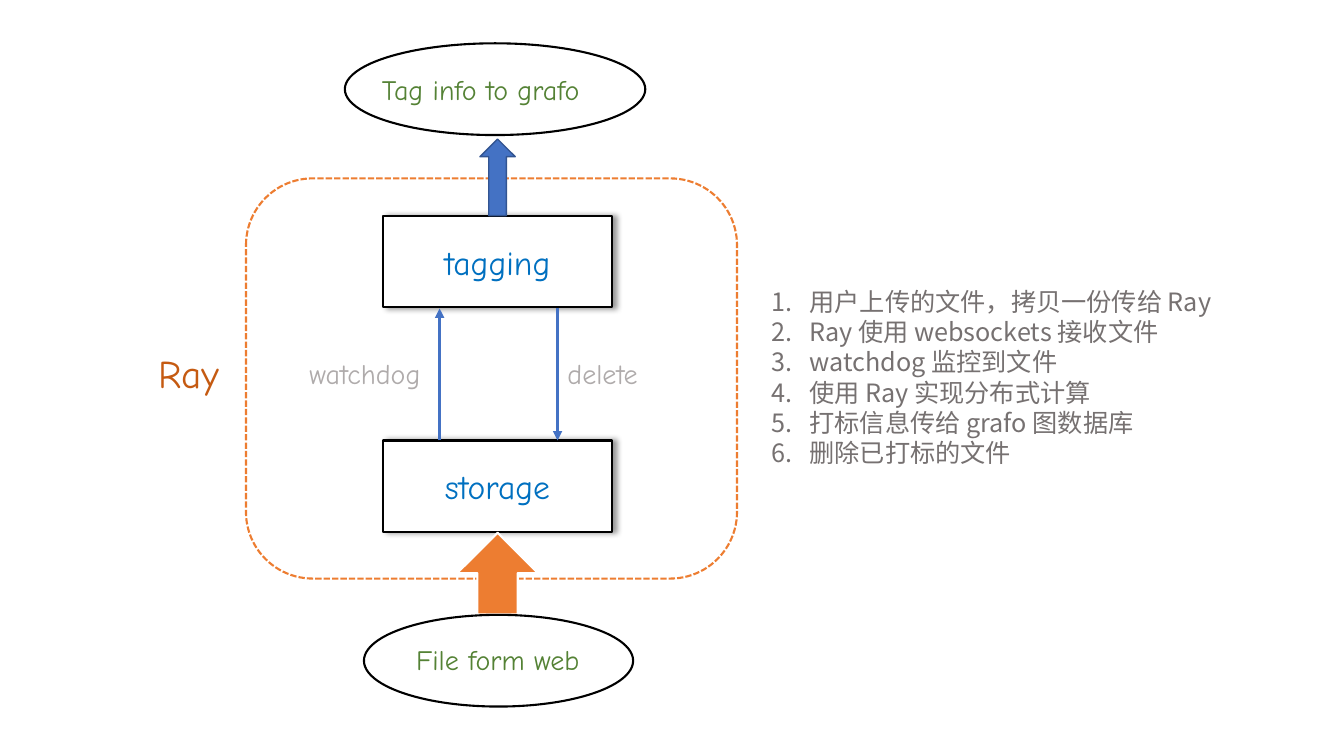
import dataclasses

import pptx
import pptx.dml.color
import pptx.enum.dml
import pptx.enum.shapes
import pptx.enum.text
import pptx.oxml
import pptx.oxml.ns
import pptx.util

SHAPE = pptx.enum.shapes.MSO_SHAPE
ALIGN = pptx.enum.text.PP_ALIGN
ANCHOR = pptx.enum.text.MSO_ANCHOR
DASH = pptx.enum.dml.MSO_LINE
CELL = pptx.util.Inches(0.1)  # side of one grid square


@dataclasses.dataclass(frozen=True)
class Theme:
    latin: str = "Comic Neue"
    cjk: str = "Noto Sans CJK SC"
    ink: str = "000000"
    paper: str = "FFFFFF"
    orange: str = "ED7D31"
    dark_orange: str = "C55A11"
    blue: str = "4472C4"
    dark_blue: str = "325491"
    node_text: str = "0070C0"
    green: str = "548235"
    light_grey: str = "AFABAB"
    grey: str = "767171"
    cluster_size: int = 28
    node_size: int = 24
    label_size: int = 20
    step_size: int = 18
    step_pitch: float = 21.6
    outline: float = 1.5


THEME = Theme()


@dataclasses.dataclass(frozen=True)
class Box:
    """Columns and rows of the grid, counted from the slide's top left corner."""
    left: float
    top: float
    width: float
    height: float

    def inner(self, column, row, width, height):
        return Box(self.left + column, self.top + row, width, height)

    def emu(self):
        return [round(cells * CELL) for cells in dataclasses.astuple(self)]


def rgb(colour):
    return pptx.dml.color.RGBColor.from_string(colour)


def apply(target, formats):
    for name, value in formats.items():
        setattr(target, name, value)


def add_effects(properties, effects=""):
    properties.append(pptx.oxml.parse_xml(
        f'<a:effectLst {pptx.oxml.ns.nsdecls("a")}>{effects}</a:effectLst>'))


def write(frame, lines, size, colour, font=THEME.latin, align=ALIGN.LEFT):
    for number, line in enumerate(lines):
        paragraph = frame.add_paragraph() if number else frame.paragraphs[0]
        paragraph.alignment = align
        run = paragraph.add_run()
        run.text = line
        apply(run.font, {"name": font, "size": pptx.util.Pt(size)})
        run.font.color.rgb = rgb(colour)


def add_text(slide, box, lines, size, colour, wrap=True, **style):
    frame = slide.shapes.add_textbox(*box.emu()).text_frame
    frame.word_wrap = wrap
    write(frame, lines, size, colour, **style)
    return frame


def add_figure(slide, box, preset, line, fill=None, weight=THEME.outline):
    figure = slide.shapes.add_shape(preset, *box.emu())
    figure.shadow.inherit = False
    if fill:
        figure.fill.solid()
        figure.fill.fore_color.rgb = rgb(fill)
    else:
        figure.fill.background()
    figure.line.color.rgb = rgb(line)
    figure.line.width = pptx.util.Pt(weight)
    return figure


def add_node(slide, box, caption):
    node = add_figure(slide, box, SHAPE.RECTANGLE, THEME.ink, THEME.paper)
    node.shadow.inherit = True
    add_effects(
        node.element.spPr,
        f'<a:outerShdw blurRad="{pptx.util.Pt(4)}" dist="{pptx.util.Pt(3)}" dir="0" '
        f'algn="l" rotWithShape="0"><a:srgbClr val="{THEME.ink}">'
        '<a:alpha val="40000"/></a:srgbClr></a:outerShdw>')
    node.text_frame.vertical_anchor = ANCHOR.MIDDLE
    write(node.text_frame, [caption], THEME.node_size, THEME.node_text,
          align=ALIGN.CENTER)


def add_vertical_arrow(slide, column, start, end):
    x = round(column * CELL)
    arrow = slide.shapes.add_connector(
        pptx.enum.shapes.MSO_CONNECTOR.STRAIGHT,
        x, round(start * CELL), x, round(end * CELL))
    arrow.line.color.rgb = rgb(THEME.blue)
    arrow.line.width = pptx.util.Pt(2.25)
    arrow.line._get_or_add_ln().append(pptx.oxml.parse_xml(
        f'<a:tailEnd {pptx.oxml.ns.nsdecls("a")} type="triangle"/>'))
    add_effects(arrow.element.spPr)


def add_cluster(slide, box):
    """Dashed frame with its two nodes and the messages between them."""
    frame = add_figure(slide, box, SHAPE.ROUNDED_RECTANGLE, THEME.orange)
    frame.line.dash_style = DASH.SQUARE_DOT
    tagging = box.inner(13.6, 3.7, 22.7, 9.1)
    storage = tagging.inner(0, 22.3, 22.7, 9.1)
    add_node(slide, storage, "storage")
    add_node(slide, tagging, "tagging")

    upper, lower = tagging.top + tagging.height + 0.1, storage.top
    add_vertical_arrow(slide, box.left + 19.2, lower, upper)
    add_vertical_arrow(slide, box.left + 30.9, upper, lower)
    for caption, column, width in (("watchdog", 5.3, 14.3), ("delete", 30.9, 10.4)):
        add_text(slide, box.inner(column, 17.2, width, 4.4), [caption],
                 THEME.label_size, THEME.light_grey, wrap=False)
    add_text(slide, box.inner(-12.2, 16.5, 13, 5.7), ["Ray"],
             THEME.cluster_size, THEME.dark_orange, align=ALIGN.CENTER)


def add_endpoint(slide, box, caption, indent, drop):
    add_figure(slide, box, SHAPE.OVAL, THEME.ink)
    add_text(slide, box.inner(indent, drop, box.width, 4.4), [caption],
             THEME.label_size, THEME.green)


def add_steps(slide, box, steps):
    frame = add_text(slide, box, steps, THEME.step_size, THEME.grey, font=THEME.cjk)
    indent = pptx.util.Inches(0.38)
    for paragraph in frame.paragraphs:
        paragraph.line_spacing = pptx.util.Pt(THEME.step_pitch)
        properties = paragraph._p.get_or_add_pPr()
        for name, value in {"marL": indent, "indent": -indent}.items():
            properties.set(name, str(value))
        properties.append(pptx.oxml.parse_xml(
            f'<a:buAutoNum {pptx.oxml.ns.nsdecls("a")} type="arabicPeriod"/>'))
        for run in paragraph.runs:
            run.font._element.append(pptx.oxml.parse_xml(
                f'<a:ea {pptx.oxml.ns.nsdecls("a")} typeface="{THEME.cjk}"/>'))


def main():
    deck = pptx.Presentation()
    apply(deck, {"slide_width": pptx.util.Inches(13.33),
                 "slide_height": pptx.util.Inches(7.5)})
    slide = deck.slides.add_slide(deck.slide_layouts[6])

    add_cluster(slide, Box(24.4, 17.7, 48.7, 39.7))
    add_figure(slide, Box(45.35, 52.85, 8, 8.1), SHAPE.UP_ARROW,
               THEME.paper, THEME.orange)
    add_endpoint(slide, Box(36.1, 61, 26.7, 9.1), "File form web", 4.2, 2.2)
    add_figure(slide, Box(47.6, 13.8, 3.5, 7.6), SHAPE.UP_ARROW,
               THEME.dark_blue, THEME.blue, weight=1)
    add_endpoint(slide, Box(34.2, 4.3, 29.8, 9.1), "Tag info to grafo", 2.7, 2.4)
    add_steps(slide, Box(75.5, 27.9, 45.7, 19.2), [
        "用户上传的文件，拷贝一份传给 Ray",
        "Ray 使用 websockets 接收文件",
        "watchdog 监控到文件",
        "使用 Ray 实现分布式计算",
        "打标信息传给 grafo 图数据库",
        "删除已打标的文件",
    ])
    deck.save("out.pptx")


if __name__ == "__main__":
    main()
